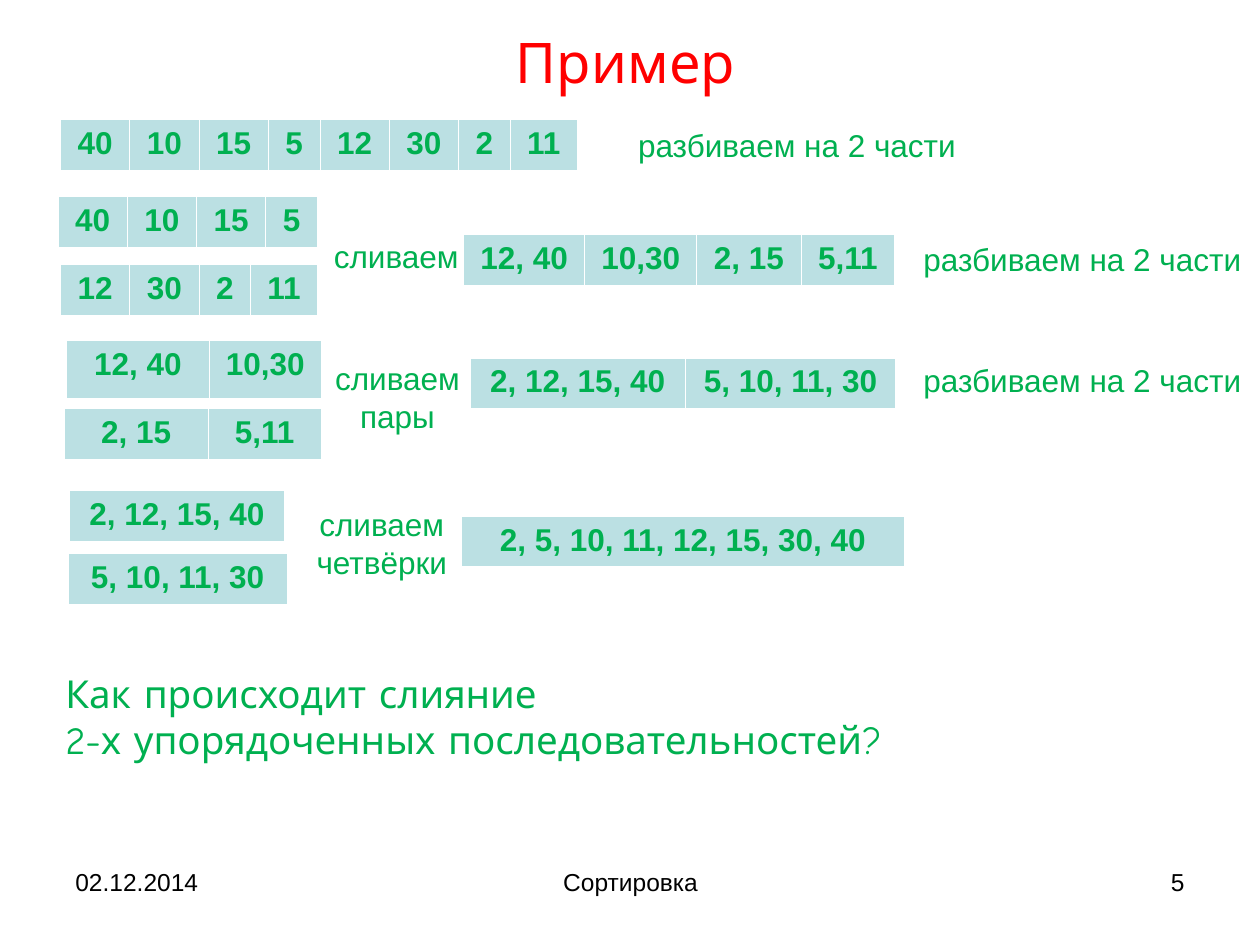
import pptx
import pptx.util
import pptx.dml.color
import pptx.enum.text
from pptx.oxml.ns import qn
from lxml import etree

Inches, Pt = pptx.util.Inches, pptx.util.Pt
ALIGN = pptx.enum.text.PP_ALIGN
ANCHOR = pptx.enum.text.MSO_ANCHOR
GREEN, RED, BLACK, WHITE, TEAL = "00B050", "FF0000", "000000", "FFFFFF", "BBE0E3"
SPLIT = "разбиваем на 2 части"

ROWS = [
    (0.48, 0.95, 0.41, [("40", 0.55), ("10", 0.55), ("15", 0.55), ("5", 0.41),
                        ("12", 0.55), ("30", 0.55), ("2", 0.41), ("11", 0.53)]),
    (0.48, 2.1, 0.41, [("12", 0.55), ("30", 0.55), ("2", 0.41), ("11", 0.53)]),
    (0.46, 1.56, 0.41, [("40", 0.55), ("10", 0.55), ("15", 0.55), ("5", 0.41)]),
    (3.68, 1.86, 0.41, [("12, 40", 0.96), ("10,30", 0.89), ("2, 15", 0.83), ("5,11", 0.74)]),
    (0.53, 2.7, 0.47, [("12, 40", 1.13), ("10,30", 0.89)]),
    (0.51, 3.24, 0.41, [("2, 15", 1.14), ("5,11", 0.9)]),
    (3.73, 2.84, 0.41, [("2, 12, 15, 40", 1.71), ("5, 10, 11, 30", 1.67)]),
    (0.55, 3.89, 0.41, [("2, 12, 15, 40", 1.71)]),
    (0.54, 4.39, 0.41, [("5, 10, 11, 30", 1.74)]),
    (3.66, 4.1, 0.4, [("2, 5, 10, 11, 12, 15, 30, 40", 3.52)]),
]
STEPS = [
    (4.67, 0.95, 3.31, 0.4, SPLIT),
    (2.54, 1.83, 1.21, 0.4, "сливаем"),
    (7.18, 1.86, 2.82, 0.4, SPLIT),
    (2.55, 2.8, 1.21, 0.7, "сливаем\nпары"),
    (7.18, 2.82, 2.82, 0.4, SPLIT),
    (2.34, 3.96, 1.38, 0.7, "сливаем\nчетвёрки"),
]
FOOTER = [
    (0.5, 2.33, "02.12.2014", ALIGN.LEFT),
    (3.42, 3.17, "Сортировка", ALIGN.CENTER),
    (7.17, 2.33, "5", ALIGN.RIGHT),
]
QUESTION = "Как происходит слияние\n2-х упорядоченных последовательностей?"
BORDERS = [("a:lnL", 0.45), ("a:lnR", 0.45), ("a:lnT", 0.45), ("a:lnB", 1.47)]


def rgb(value):
    return pptx.dml.color.RGBColor.from_string(value)


def style(tf, size, color, align, font="Arial", bold=False):
    for p in tf.paragraphs:
        p.alignment = align
        p.font.name, p.font.size, p.font.bold = font, Pt(size), bold
        p.font.color.rgb = rgb(color)


def add_text(s, x, y, w, h, text, size, color, align, font="Arial", anchor=ANCHOR.TOP):
    tf = s.shapes.add_textbox(Inches(x), Inches(y), Inches(w), Inches(h)).text_frame
    tf.word_wrap = True
    tf.vertical_anchor = anchor
    tf.text = text
    style(tf, size, color, align, font)


def add_borders(cell):
    props = cell._tc.get_or_add_tcPr()
    for i, (tag, width) in enumerate(BORDERS):
        line = etree.Element(qn(tag), w=str(int(Pt(width))))
        fill = etree.SubElement(line, qn("a:solidFill"))
        etree.SubElement(fill, qn("a:srgbClr"), val=WHITE)
        props.insert(i, line)


def add_row(s, x, y, h, items):
    width = sum(w for _, w in items)
    table = s.shapes.add_table(1, len(items), Inches(x), Inches(y), Inches(width), Inches(h)).table
    for i, (text, w) in enumerate(items):
        table.columns[i].width = Inches(w)
        cell = table.cell(0, i)
        cell.text = text
        cell.fill.solid()
        cell.fill.fore_color.rgb = rgb(TEAL)
        style(cell.text_frame, 18, GREEN, ALIGN.CENTER, bold=True)
        add_borders(cell)


prs = pptx.Presentation()
prs.slide_width, prs.slide_height = Inches(10), Inches(7.5)
s = prs.slides.add_slide(prs.slide_layouts[6])

add_text(s, 0.49, 0, 8.95, 0.97, "Пример", 32, RED, ALIGN.CENTER, "Comic Neue", ANCHOR.MIDDLE)
for row in ROWS:
    add_row(s, *row)
for step in STEPS:
    add_text(s, *step, 18, GREEN, ALIGN.CENTER)
add_text(s, 0.42, 5.27, 7.09, 0.84, QUESTION, 22, GREEN, ALIGN.LEFT, "Comic Neue")
for x, w, text, align in FOOTER:
    add_text(s, x, 6.83, w, 0.52, text, 14, BLACK, align)

prs.save("out.pptx")
